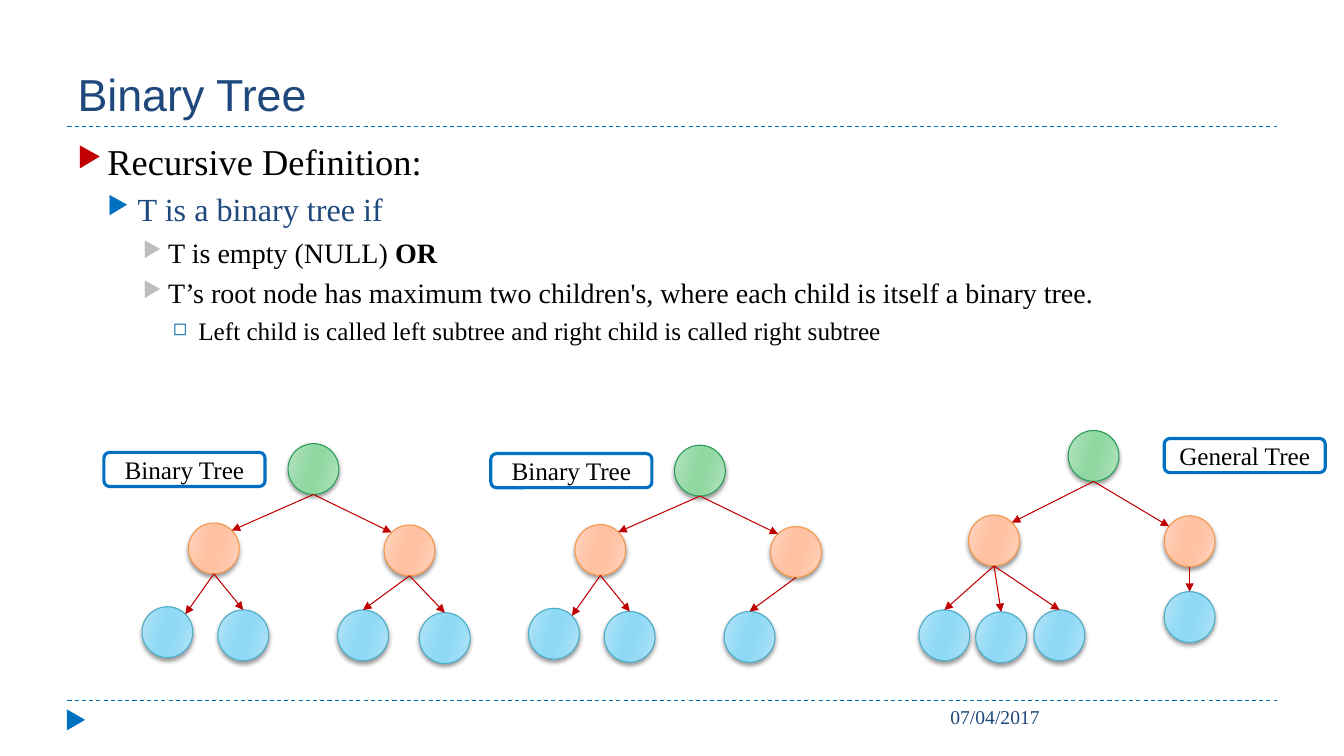
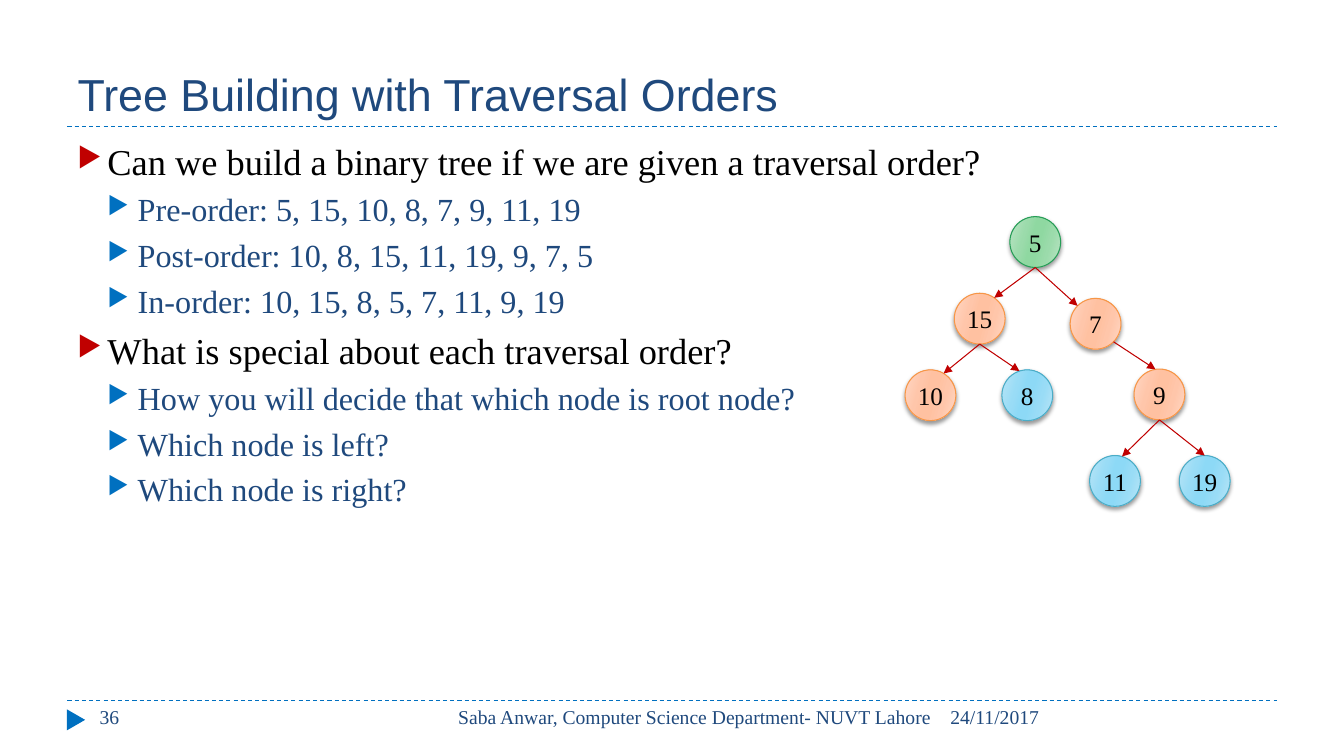
from math import cos, radians, sin

from lxml.etree import SubElement
from pptx import Presentation
from pptx.dml.color import RGBColor
from pptx.enum.dml import MSO_LINE as Dash
from pptx.enum.shapes import MSO_CONNECTOR as Link, MSO_SHAPE as Form
from pptx.enum.text import MSO_ANCHOR as Anchor, MSO_AUTO_SIZE as Fit, PP_ALIGN as Align
from pptx.oxml.ns import qn
from pptx.util import Cm, Pt

rgb = RGBColor.from_string
BLUE, NAVY, RED, BLACK, WHITE = "0070C0", "1F497D", "C00000", "000000", "FFFFFF"
SIZE = 1.28  # node diameter in cm

# Node looks: outline, then gradient from rim to middle
HUES = {
    "root": ("279D57", "BBE4C5", "9BDBAB", "8FD8A1"),
    "inner": ("F79646", "FFD7C5", "FFC6AA", "FFC1A1"),
    "leaf": ("4BACC6", "B9E5F7", "99DCF6", "8DD9F6"),
}
STOPS = [(0, 1), (30, 2), (45, 3), (55, 3), (73, 2), (100, 1)]

# Text levels: size, colour, left, hanging, space before, bullet, its colour and percent
LEVELS = [
    (26, BLACK, 0.76, 0.76, 6, "▶", RED, 76),
    (23, NAVY, 1.52, 0.76, 5, "▶", BLUE, 76),
    (20, BLACK, 2.29, 0.64, 5, "▶", "BDBDBD", 76),
    (18, BLACK, 3.05, 0.64, 4, "◻", "0063A9", 70),
]

# Nodes: text, look, left, top, parent, angles where the arrow leaves and lands
# (degrees clockwise from the top of the circle)
full = [
    ("", "root", 7.26, 11.18, None, 0, 0),
    ("", "inner", 4.75, 13.18, 0, 180, 45),
    ("", "inner", 9.68, 13.23, 0, 180, -45),
    ("", "leaf", 3.58, 15.29, 1, 180, 45),
    ("", "leaf", 5.49, 15.37, 1, 180, 0),
    ("", "leaf", 8.51, 15.37, 2, 180, 0),
    ("", "leaf", 10.57, 15.44, 2, 180, 0),
]
part = [(text, look, x + 9.74, y + 0.04, *rest) for text, look, x, y, *rest in full[:-1]]
wide = [
    ("", "root", 26.92, 10.85, None, 0, 0),
    ("", "inner", 24.41, 12.98, 0, 180, 45),
    ("", "inner", 29.34, 13, 0, 180, -54),
    ("", "leaf", 23.16, 15.37, 1, 180, 0),
    ("", "leaf", 24.59, 15.42, 1, 180, 0),
    ("", "leaf", 26.06, 15.37, 1, 180, 0),
    ("", "leaf", 29.34, 14.91, 2, 180, 0),
]
built = [
    ("5", "root", 25.45, 5.46, None, 0, 0),
    ("15", "inner", 24.05, 7.39, 0, 180, 35),
    ("7", "inner", 26.97, 7.52, 0, 180, -45),
    ("10", "inner", 22.81, 9.32, 1, 180, 31),
    ("8", "leaf", 25.25, 9.32, 1, 180, -18),
    ("9", "inner", 28.58, 9.3, 2, 135, -9),
    ("11", "leaf", 27.46, 11.48, 5, 180, 16),
    ("19", "leaf", 29.72, 11.48, 5, 180, 0),
]

DATE, NOTE, PAGE = (23.7, 8.48, Align.LEFT), (10.74, 12.98, Align.RIGHT), (2.26, 7.34, Align.LEFT)

pages = [
    {
        "title": "Binary Tree",
        "foot": [("07/04/2017", DATE)],
        "body": [  # level, plain text, bold text
            (0, "Recursive Definition:"),
            (1, "T is a binary tree if"),
            (2, "T is empty (NULL) ", "OR"),
            (2, "T’s root node has maximum two children's, where each child is itself a binary tree."),
            (3, "Left child is called left subtree and right child is called right subtree"),
        ],
        "trees": [full, part, wide],
        "tags": [("Binary Tree", 2.62, 11.4), ("Binary Tree", 12.37, 11.43), ("General Tree", 29.34, 11.05)],
    },
    {
        "title": "Tree Building with Traversal Orders",
        "foot": [
            ("24/11/2017", DATE),
            ("Saba Anwar, Computer Science Department- NUVT Lahore", NOTE),
            ("36", PAGE),
        ],
        "body": [
            (0, "Can we build a binary tree if we are given a traversal order?"),
            (1, "Pre-order: 5, 15, 10, 8, 7, 9, 11, 19"),
            (1, "Post-order: 10, 8, 15, 11, 19, 9, 7, 5"),
            (1, "In-order: 10, 15, 8, 5, 7, 11, 9, 19"),
            (0, "What is special about each traversal order?"),
            (1, "How you will decide that which node is root node?"),
            (1, "Which node is left?"),
            (1, "Which node is right?"),
        ],
        "trees": [built],
        "tags": [],
    },
]


def sub(parent, tag, **attrs):
    """Append a child element such as a:buChar and return it."""
    return SubElement(parent, qn(tag), {key: str(val) for key, val in attrs.items()})


def ink(para, size, hue, name="Times New Roman"):
    """Format every run of a paragraph."""
    for run in para.runs:
        run.font.size, run.font.name = Pt(size), name
        run.font.color.rgb = rgb(hue)


deck = Presentation()
deck.slide_width, deck.slide_height = Cm(33.87), Cm(19.05)

for page in pages:
    slide = deck.slides.add_slide(deck.slide_layouts[5])
    shapes = slide.shapes

    # Rules and footer mark
    for y in (17.65, 3.18):
        rule = shapes.add_connector(Link.STRAIGHT, Cm(1.7), Cm(y), Cm(32.18), Cm(y))
        rule.line.color.rgb, rule.line.width = rgb(BLUE), Pt(0.75)
        rule.line.dash_style = Dash.DASH
        sub(rule.element.spPr, "a:effectLst")
    mark = shapes.add_shape(Form.ISOSCELES_TRIANGLE, Cm(1.65), Cm(17.91), Cm(0.53), Cm(0.46))
    mark.rotation = 90
    mark.shadow.inherit = False
    mark.fill.solid()
    mark.fill.fore_color.rgb = rgb(BLUE)
    mark.line.fill.background()

    # Title
    title = shapes.title
    title.left, title.top, title.width, title.height = Cm(1.7), Cm(0.43), Cm(30.48), Cm(2.74)
    frame = title.text_frame
    frame.text = page["title"]
    frame.auto_size, frame.vertical_anchor = Fit.NONE, Anchor.BOTTOM
    frame.paragraphs[0].alignment = Align.LEFT
    ink(frame.paragraphs[0], 32, NAVY, "Arial")

    # Footer
    for text, (x, width, align) in page["foot"]:
        frame = shapes.add_textbox(Cm(x), Cm(17.65), Cm(width), Cm(1.02)).text_frame
        frame.word_wrap = True
        frame.text = text
        frame.paragraphs[0].alignment = align
        ink(frame.paragraphs[0], 14, NAVY)

    # Bulleted text
    frame = shapes.add_textbox(Cm(1.7), Cm(3.38), Cm(30.48), Cm(13.72)).text_frame
    frame.word_wrap = True
    for row, (level, *parts) in enumerate(page["body"]):
        size, hue, left, hang, gap, sign, tint, scale = LEVELS[level]
        para = frame.add_paragraph() if row else frame.paragraphs[0]
        para.level, para.space_before = level, Pt(gap)
        for bold, text in enumerate(parts):
            run = para.add_run()
            run.text, run.font.bold = text, bool(bold)
        ink(para, size, hue)
        props = para._p.get_or_add_pPr()
        props.set("marL", str(Cm(left)))
        props.set("indent", str(-Cm(hang)))
        sub(sub(props, "a:buClr"), "a:srgbClr", val=tint)
        sub(props, "a:buSzPct", val=scale * 1000)
        sub(props, "a:buChar", char=sign)

    # Trees
    for tree in page["trees"]:
        for text, look, x, y, up, out, tip in tree:
            edge, *shades = HUES[look]
            node = shapes.add_shape(Form.OVAL, Cm(x), Cm(y), Cm(SIZE), Cm(SIZE))
            node.line.color.rgb, node.line.width = rgb(edge), Pt(0.75)
            node.fill.gradient()
            node.fill.gradient_angle = 344
            stops = node.element.spPr.find(".//" + qn("a:gsLst"))
            stops.clear()
            for pos, shade in STOPS:
                sub(sub(stops, "a:gs", pos=pos * 1000), "a:srgbClr", val=shades[shade - 1])
            node.shadow.inherit = False
            glow = sub(node.element.spPr.find(qn("a:effectLst")), "a:outerShdw", blurRad=Pt(3),
                       dist=Pt(2), dir=90 * 60000, rotWithShape=0)
            sub(sub(glow, "a:srgbClr", val=BLACK), "a:alpha", val=40000)
            if text:
                frame = node.text_frame
                frame.margin_left = frame.margin_right = 0
                frame.vertical_anchor = Anchor.MIDDLE
                frame.text = text
                frame.paragraphs[0].alignment = Align.CENTER
                ink(frame.paragraphs[0], 18, BLACK)
            if up is None:
                continue
            ends = []
            for (left, top), turn in ((tree[up][2:4], out), ((x, y), tip)):
                ends.append(Cm(left + SIZE / 2 * (1 + sin(radians(turn)))))
                ends.append(Cm(top + SIZE / 2 * (1 - cos(radians(turn)))))
            arrow = shapes.add_connector(Link.STRAIGHT, *ends)
            arrow.line.color.rgb, arrow.line.width = rgb(RED), Pt(0.75)
            sub(arrow.line._get_or_add_ln(), "a:tailEnd", type="triangle")
            sub(arrow.element.spPr, "a:effectLst")

    # Tree names
    for text, x, y in page["tags"]:
        tag = shapes.add_shape(Form.ROUNDED_RECTANGLE, Cm(x), Cm(y), Cm(4.06), Cm(0.86))
        tag.shadow.inherit = False
        tag.fill.solid()
        tag.fill.fore_color.rgb = rgb(WHITE)
        tag.line.color.rgb, tag.line.width = rgb(BLUE), Pt(2.25)
        frame = tag.text_frame
        frame.vertical_anchor = Anchor.MIDDLE
        frame.text = text
        frame.paragraphs[0].alignment = Align.CENTER
        ink(frame.paragraphs[0], 18, BLACK)

deck.save("out.pptx")
